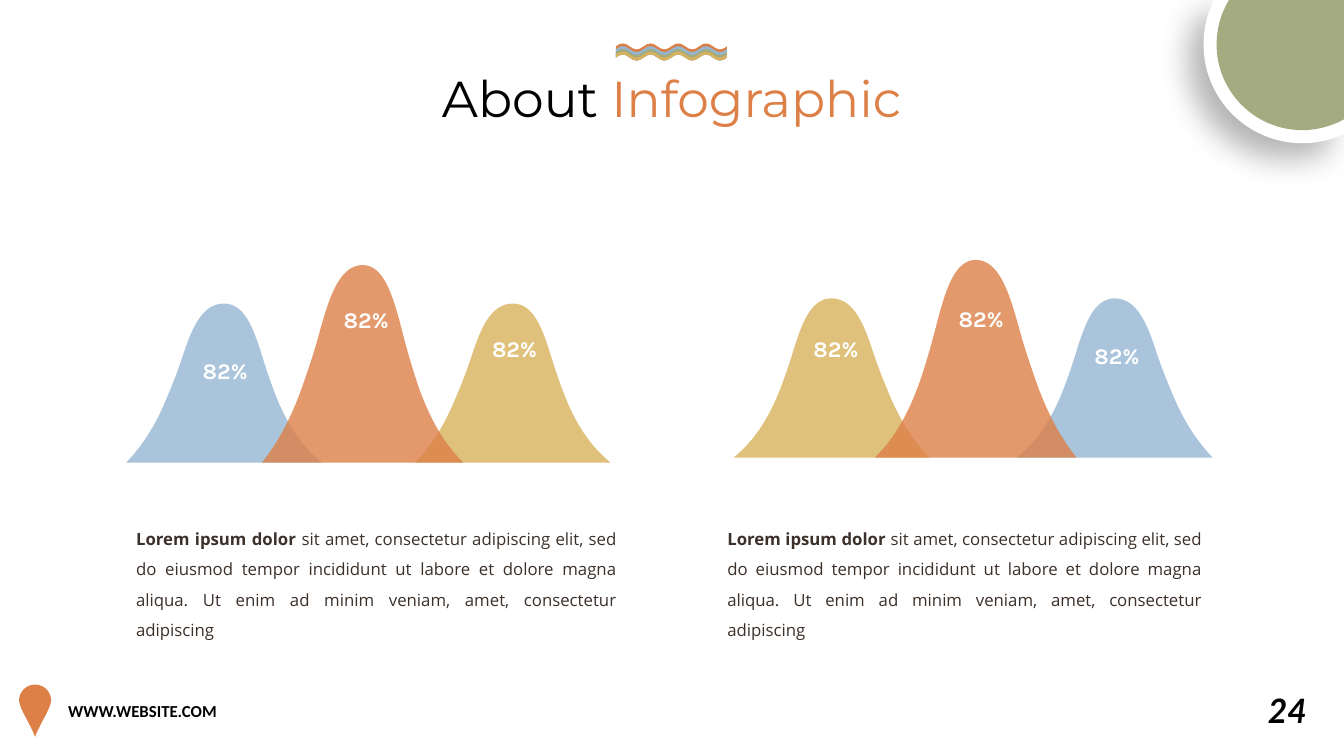
import math
from dataclasses import dataclass

from lxml import etree
from pptx import Presentation
from pptx.dml.color import RGBColor
from pptx.enum import text
from pptx.oxml import ns
from pptx.util import Cm, Pt

Points = list[tuple[float, float]]

COLORS = {
    "white": "FFFFFF", "black": "000000", "brown": "3C302A",
    "orange": "DD8047", "blue": "94B6D2", "green": "A5AB81", "gold": "D8B25C",
}
SLIDE_WIDTH, SLIDE_HEIGHT = 33.87, 19.05

# Curves in percent of width and height: a start, then triples of Bezier points
BELL_CURVE = [
    (0, 100), (8.5, 89), (14, 78), (19, 64.5), (23, 53), (26, 44), (28.5, 34.5),
    (33, 18), (38, 0), (50, 0), (60, 0), (64.5, 14), (68.5, 29),
    (72, 43), (74.5, 52), (78.2, 63), (83, 76), (89, 89), (100, 100),
]
PIN_RIGHT_HALF = [(50, 0), (78, 0), (100, 14), (100, 31), (97, 48), (62, 78), (50, 100)]
PIN_CURVE = PIN_RIGHT_HALF + [(100 - x, y) for x, y in PIN_RIGHT_HALF[-2::-1]]


@dataclass
class Bell:
    left: float
    baseline: float
    width: float
    height: float
    color: str
    label_left: float
    label_top: float
    mirrored: bool = False


@dataclass
class Run:
    words: str
    color: str
    bold: bool = False


@dataclass
class TextBox:
    left: float
    top: float
    width: float
    height: float
    runs: list[Run]
    font: str
    size: float
    align: text.PP_ALIGN = text.PP_ALIGN.LEFT
    line_spacing: float = 1.0
    wrap: bool = False
    italic: bool = False
    inset: bool = True


SMALL, TALL = (4.93, 4.01), (5.08, 4.98)
LEFT_BASE, RIGHT_BASE = 11.66, 11.53
BELLS = [
    Bell(3.18, LEFT_BASE, *SMALL, "blue", 5.11, 9.07),
    Bell(10.46, LEFT_BASE, *SMALL, "gold", 12.4, 8.53),
    Bell(6.6, LEFT_BASE, *TALL, "orange", 8.66, 7.8),
    Bell(25.63, RIGHT_BASE, *SMALL, "blue", 27.58, 8.69, True),
    Bell(18.49, RIGHT_BASE, *SMALL, "gold", 20.5, 8.51, True),
    Bell(22.05, RIGHT_BASE, *TALL, "orange", 24.16, 7.77, True),
]
BODY = [
    Run("Lorem ipsum dolor ", "brown", True),
    Run("sit amet, consectetur adipiscing elit, sed do eiusmod tempor incididunt ut "
        "labore et dolore magna aliqua. Ut enim ad minim veniam, amet, consectetur "
        "adipiscing", "brown"),
]
TEXT_BOXES = [
    TextBox(31.7, 17.25, 1.5, 1.27, [Run("24", "black", True)], "Lato", 24, italic=True),
    TextBox(1.47, 17.53, 6.43, 0.76, [Run("WWW.WEBSITE.COM", "black", True)],
            "Calibri", 12, wrap=True),
    TextBox(10.41, 1.57, 13.03, 1.8, [Run("About ", "black"), Run("Infographic", "orange")],
            "Montserrat", 36, text.PP_ALIGN.CENTER),
] + [
    TextBox(left, 12.95, width, 2.49, BODY, "Open Sans", 12, text.PP_ALIGN.JUSTIFY, 1.5, True)
    for left, width in ((3.18, 12.62), (18.08, 12.47))
]


def rgb(name: str) -> RGBColor:
    return RGBColor.from_string(COLORS[name])


def draw_curve(slide, curve: Points, color: str, opacity: int = 100, corners: Points = ()):
    """Fill a Bezier curve, closed by straight lines through the corners."""
    points = [(Cm(x), Cm(y)) for x, y in [*curve, *corners]]
    builder = slide.shapes.build_freeform(*points[0])
    builder.add_line_segments(points[1:])
    shape = builder.convert_to_shape()
    segments = list(shape._element.iter(ns.qn("a:lnTo")))[:len(curve) - 1]
    for first in range(0, len(segments), 3):
        bezier = etree.Element(ns.qn("a:cubicBezTo"))
        segments[first].addprevious(bezier)
        for segment in segments[first:first + 3]:
            bezier.append(segment[0])
            segment.getparent().remove(segment)
    shape.shadow.inherit = False
    shape.fill.solid()
    shape.fill.fore_color.rgb = rgb(color)
    shape.line.fill.background()
    if opacity < 100:
        fill_color = shape._element.spPr.find(ns.qn("a:solidFill"))[0]
        etree.SubElement(fill_color, ns.qn("a:alpha"), val=str(opacity * 1000))
    return shape


def place(curve: Points, left: float, top: float, width: float, height: float) -> Points:
    return [(left + x * width / 100, top + y * height / 100) for x, y in curve]


def draw_bell(slide, bell: Bell) -> None:
    curve = [(100 - x, y) for x, y in BELL_CURVE] if bell.mirrored else BELL_CURVE
    points = place(curve, bell.left, bell.baseline - bell.height, bell.width, bell.height)
    draw_curve(slide, points, bell.color, 80)


def draw_corner_disc(slide, radius: float, color: str):
    center_x, center_y = 32.82, 1.12

    def polar(angle: float, tangent: float = 0) -> tuple[float, float]:
        return (center_x + radius * (math.cos(angle) - tangent * math.sin(angle)),
                center_y + radius * (math.sin(angle) + tangent * math.cos(angle)))

    stops = [math.acos((SLIDE_WIDTH - center_x) / radius), math.pi / 2, math.pi,
             math.pi + math.asin(center_y / radius)]
    curve = [polar(stops[0])]
    for start, end in zip(stops, stops[1:]):
        handle = 4 / 3 * math.tan((end - start) / 4)
        curve += [polar(start, handle), polar(end, -handle), polar(end)]
    return draw_curve(slide, curve, color, corners=[(SLIDE_WIDTH, 0)])


def add_soft_shadow(shape) -> None:
    effects = shape._element.spPr.find(ns.qn("a:effectLst"))
    shadow = etree.SubElement(effects, ns.qn("a:outerShdw"), blurRad=str(Pt(23)),
                              dist=str(Pt(15)), dir="8100000", algn="tr", rotWithShape="0")
    color = etree.SubElement(shadow, ns.qn("a:srgbClr"), val=COLORS["black"])
    etree.SubElement(color, ns.qn("a:alpha"), val="29000")


def wave(level: float) -> Points:
    left, half_period, swing = 15.52, 0.35, 0.1
    points = [(left, level)]
    for index in range(8):
        start = left + index * half_period
        crest = level - swing * (-1) ** index
        points += [(start + 0.36 * half_period, crest), (start + 0.64 * half_period, crest),
                   (start + half_period, level)]
    return points


def draw_stripe(slide, top: float, bottom: float, color: str) -> None:
    upper, lower = wave(top), wave(bottom)[::-1]
    straight_side = [upper[-1], lower[0], lower[0]]
    draw_curve(slide, upper + straight_side + lower[1:], color)


def draw_text(slide, box: TextBox) -> None:
    shape = slide.shapes.add_textbox(Cm(box.left), Cm(box.top), Cm(box.width), Cm(box.height))
    frame = shape.text_frame
    frame.word_wrap = box.wrap
    if box.inset:
        frame.auto_size = text.MSO_AUTO_SIZE.SHAPE_TO_FIT_TEXT
    else:
        frame.margin_left = frame.margin_top = frame.margin_right = frame.margin_bottom = 0
    paragraph = frame.paragraphs[0]
    paragraph.alignment = box.align
    paragraph.line_spacing = box.line_spacing
    paragraph.font.name = box.font
    paragraph.font.size = Pt(box.size)
    paragraph.font.italic = box.italic
    for part in box.runs:
        run = paragraph.add_run()
        run.text = part.words
        run.font.bold = part.bold
        run.font.color.rgb = rgb(part.color)


def main() -> None:
    presentation = Presentation()
    presentation.slide_width, presentation.slide_height = Cm(SLIDE_WIDTH), Cm(SLIDE_HEIGHT)
    slide = presentation.slides.add_slide(presentation.slide_layouts[6])

    # Footer pin, corner disc and wavy stripes
    draw_curve(slide, place(PIN_CURVE, 0.48, 17.25, 0.81, 1.32), "orange")
    add_soft_shadow(draw_corner_disc(slide, 2.49, "white"))
    draw_corner_disc(slide, 2.16, "green")
    for index, color in enumerate(("orange", "blue", "green", "gold")):
        draw_stripe(slide, 1.17 + 0.07 * index, 1.45, color)

    # Title, footer and body text
    for box in TEXT_BOXES:
        draw_text(slide, box)

    # Bell curves, then their labels on top
    for bell in BELLS:
        draw_bell(slide, bell)
    for bell in BELLS:
        draw_text(slide, TextBox(bell.label_left, bell.label_top, 1.24, 0.74,
                                 [Run("82%", "white", True)], "Karla", 16,
                                 line_spacing=0.9, inset=False))

    presentation.save("out.pptx")


if __name__ == "__main__":
    main()
